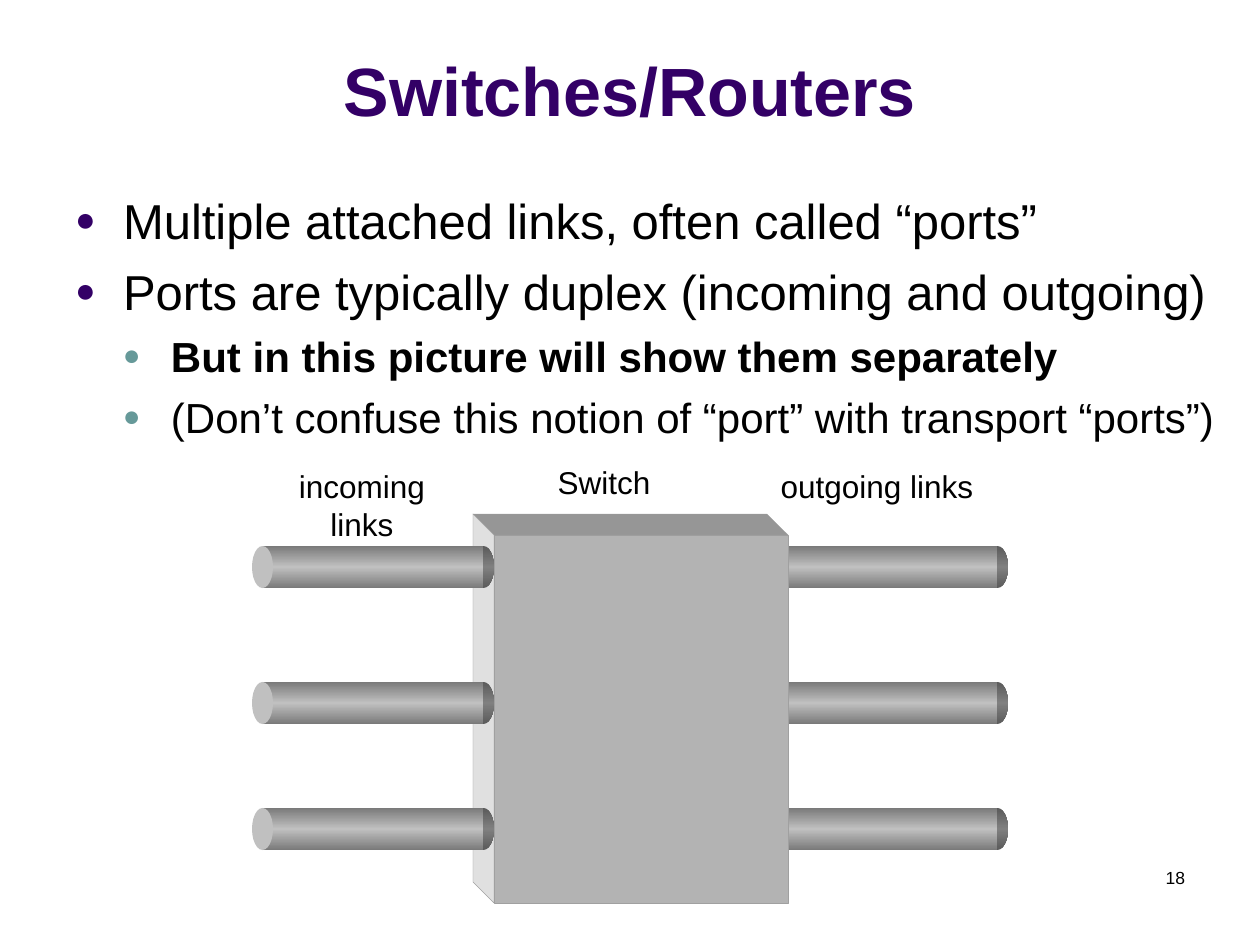
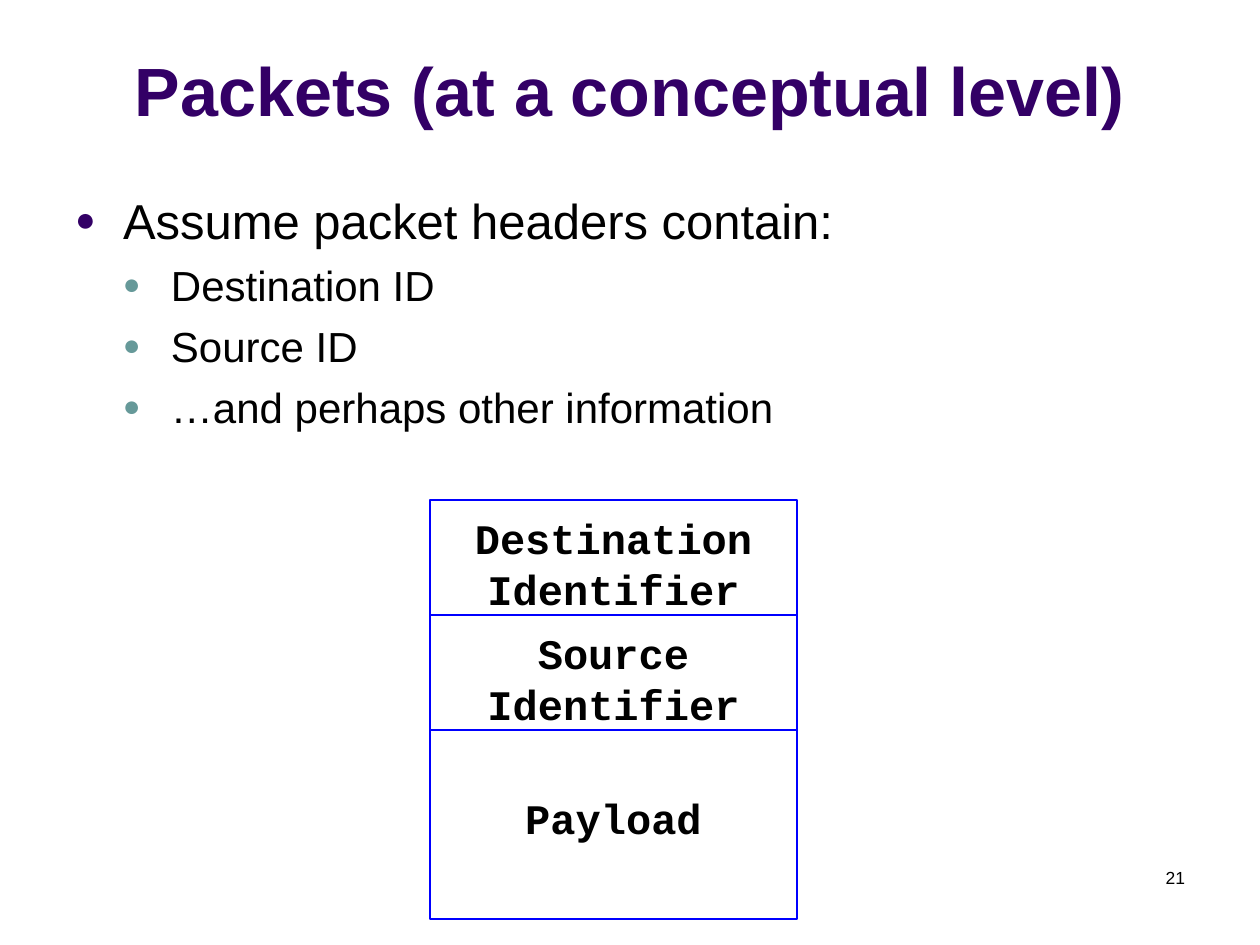
from lxml import etree
from pptx import Presentation
from pptx.dml.color import RGBColor
from pptx.enum.shapes import MSO_SHAPE
from pptx.enum.text import MSO_ANCHOR, PP_ALIGN
from pptx.oxml.ns import qn
from pptx.util import Emu, Pt

RECT, OVAL = MSO_SHAPE.RECTANGLE, MSO_SHAPE.OVAL
LEFT, CENTER, RIGHT = PP_ALIGN.LEFT, PP_ALIGN.CENTER, PP_ALIGN.RIGHT
TOP, BOTTOM = MSO_ANCHOR.TOP, MSO_ANCHOR.BOTTOM

EMU_PER_PX = 914400 / 126
SLIDE_W, SLIDE_H = 1260, 945

COLORS = {
    "title": "330066", "text": "000000", "sub_bullet": "669999",
    "pipe_edge": "7A7A7A", "pipe_middle": "C0C0C0",
    "end_edge": "5B5B5B", "end_middle": "808080",
    "switch_front": "B3B3B3", "switch_top": "969696", "switch_side": "E0E0E0",
    "switch_edge": "A0A0A0", "packet_line": "0000FF",
}

# Text styles: font attributes and colour
FONTS = {
    "title": {"name": "Arial", "size": Pt(39), "bold": True},
    "point": {"name": "Arial", "size": Pt(28), "bold": False},
    "sub_point": {"name": "Arial", "size": Pt(24), "bold": False},
    "strong_sub_point": {"name": "Arial", "size": Pt(24), "bold": True},
    "label": {"name": "Arial", "size": Pt(18), "bold": False},
    "number": {"name": "Arial", "size": Pt(10), "bold": False},
    "field": {"name": "Courier New", "size": Pt(24), "bold": True},
}


def px(length):
    return Emu(round(length * EMU_PER_PX))


def box(*lengths):
    return [px(length) for length in lengths]


def rgb(color):
    return RGBColor.from_string(COLORS[color])


def set_font(font, style):
    for attribute, value in FONTS[style].items():
        setattr(font, attribute, value)
    font.color.rgb = rgb("title" if style == "title" else "text")


def set_frame(frame, anchor=TOP, insets=(12, 6, 12, 6)):
    frame.word_wrap = True
    frame.vertical_anchor = anchor
    sides = ("left", "top", "right", "bottom")
    for side, inset in zip(sides, insets):
        setattr(frame, f"margin_{side}", px(inset))


def write_lines(frame, lines, style, align):
    for i, line in enumerate(lines):
        paragraph = frame.add_paragraph() if i else frame.paragraphs[0]
        paragraph.alignment = align
        run = paragraph.add_run()
        run.text = line
        set_font(run.font, style)


def add_text(slide, place, text, style, align, **frame_options):
    frame = slide.shapes.add_textbox(*box(*place)).text_frame
    set_frame(frame, **frame_options)
    write_lines(frame, [text], style, align)


# Parts every slide has
def add_base_slide(prs, title, number):
    slide = prs.slides.add_slide(prs.slide_layouts[6])
    add_text(slide, (0, 16, SLIDE_W, 120), title, "title", CENTER, anchor=BOTTOM)
    add_text(slide, (903, 861, 294, 63), str(number), "number", RIGHT)
    return slide


def add_bullet(paragraph, level, color):
    properties = paragraph._p.get_or_add_pPr()
    properties.set("marL", str(px(48 * (level + 1))))
    properties.set("indent", str(-px(48)))
    bullet_color = etree.SubElement(properties, qn("a:buClr"))
    etree.SubElement(bullet_color, qn("a:srgbClr"), val=COLORS[color])
    etree.SubElement(properties, qn("a:buSzPct"), val="70000")
    etree.SubElement(properties, qn("a:buFont"), typeface="Arial")
    etree.SubElement(properties, qn("a:buChar"), char="●")


def add_points(slide, points):
    frame = slide.shapes.add_textbox(*box(63, 184, 1176, 661)).text_frame
    set_frame(frame)
    for i, (style, text) in enumerate(points):
        paragraph = frame.add_paragraph() if i else frame.paragraphs[0]
        level = 0 if style == "point" else 1
        add_bullet(paragraph, level, "sub_bullet" if level else "title")
        paragraph.level = level
        paragraph.alignment = LEFT
        if i:
            paragraph.space_before = Pt(6 if level else 7)
        run = paragraph.add_run()
        run.text = text
        set_font(run.font, style)


# Switch drawing
def add_solid(slide, kind, place, color):
    shape = slide.shapes.add_shape(kind, *box(*place))
    shape.shadow.inherit = False
    shape.fill.solid()
    shape.fill.fore_color.rgb = rgb(color)
    shape.line.fill.background()


def add_shaded(slide, kind, place, edge, middle):
    shape = slide.shapes.add_shape(kind, *box(*place))
    shape.shadow.inherit = False
    shape.line.fill.background()
    shape.fill.gradient()
    shape.fill.gradient_angle = 90
    stops = shape.fill._fill._gradFill.find(qn("a:gsLst"))
    for stop in list(stops):
        stops.remove(stop)
    for position, color in ((0, edge), (50000, middle), (100000, edge)):
        stop = etree.SubElement(stops, qn("a:gs"), pos=str(position))
        etree.SubElement(stop, qn("a:srgbClr"), val=COLORS[color])


def add_pipe(slide, left, top):
    height, cap = 42, 21
    add_shaded(slide, OVAL, (left + 221, top, cap, height), "end_edge", "end_middle")
    add_shaded(slide, RECT, (left + 11, top, 220, height), "pipe_edge", "pipe_middle")
    add_solid(slide, OVAL, (left, top, cap, height), "pipe_middle")


def add_face(slide, corners, color):
    builder = slide.shapes.build_freeform(*corners[0], scale=EMU_PER_PX)
    builder.add_line_segments(corners[1:], close=True)
    face = builder.convert_to_shape()
    face.shadow.inherit = False
    face.fill.solid()
    face.fill.fore_color.rgb = rgb(color)
    face.line.color.rgb = rgb("switch_edge")
    face.line.width = Pt(0.25)


def add_switch(slide, left, top, width, height, depth):
    right, bottom = left + width, top + height
    back_left, back_top = left - depth, top - depth
    add_face(slide, [(left, top), (right, top), (right, bottom), (left, bottom)],
             "switch_front")
    add_face(slide, [(back_left, back_top), (right - depth, back_top),
                     (right, top), (left, top)], "switch_top")
    add_face(slide, [(back_left, back_top), (left, top), (left, bottom),
                     (back_left, bottom - depth)], "switch_side")


def build_switch_slide(prs):
    slide = add_base_slide(prs, "Switches/Routers", 18)
    add_points(slide, [
        ("point", "Multiple attached links, often called “ports”"),
        ("point", "Ports are typically duplex (incoming and outgoing)"),
        ("strong_sub_point", "But in this picture will show them separately"),
        ("sub_point", "(Don’t confuse this notion of “port” with transport “ports”)"),
    ])
    # Outgoing links lie behind the switch, incoming links in front
    pipe_tops = (546, 682, 808)
    for top in pipe_tops:
        add_pipe(slide, 766, top)
    add_switch(slide, 494, 535, 294, 368, depth=21)
    for top in pipe_tops:
        add_pipe(slide, 252, top)
    for text, middle, top, width in (("incoming links", 362, 467, 150),
                                     ("outgoing links", 877, 467, 240),
                                     ("Switch", 604, 463, 120)):
        add_text(slide, (middle - width // 2, top, width, 38), text, "label",
                 CENTER, insets=(0, 0, 0, 0))


# Packet drawing
def add_field(slide, top, height, lines, text_offset):
    field = slide.shapes.add_shape(RECT, *box(430, top, 367, height))
    field.shadow.inherit = False
    field.fill.background()
    field.line.color.rgb = rgb("packet_line")
    field.line.width = Pt(0.75)
    set_frame(field.text_frame, insets=(12, text_offset, 12, 0))
    write_lines(field.text_frame, lines, "field", CENTER)
    for paragraph in field.text_frame.paragraphs:
        paragraph.line_spacing = Pt(28.8)


def build_packet_slide(prs):
    slide = add_base_slide(prs, "Packets (at a conceptual level)", 21)
    add_points(slide, [
        ("point", "Assume packet headers contain:"),
        ("sub_point", "Destination ID"),
        ("sub_point", "Source ID"),
        ("sub_point", "…and perhaps other information"),
    ])
    top = 500
    for lines, height, text_offset in ((["Destination", "Identifier"], 115, 13),
                                       (["Source", "Identifier"], 115, 13),
                                       (["Payload"], 189, 63)):
        add_field(slide, top, height, lines, text_offset)
        top += height


def main():
    prs = Presentation()
    prs.slide_width, prs.slide_height = px(SLIDE_W), px(SLIDE_H)
    build_switch_slide(prs)
    build_packet_slide(prs)
    prs.save("out.pptx")


if __name__ == "__main__":
    main()
